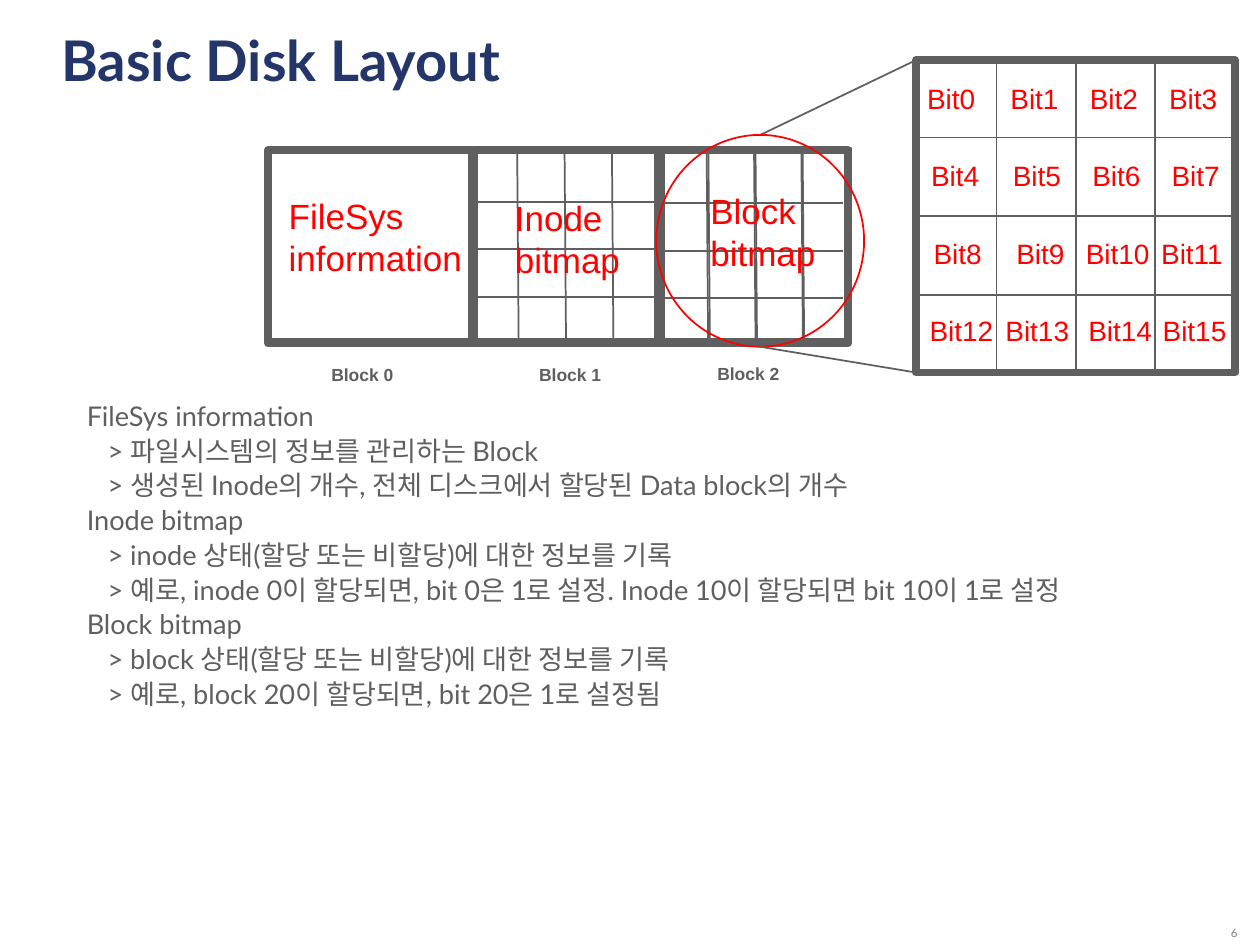
from lxml import etree
from pptx import Presentation
from pptx.dml.color import RGBColor
from pptx.enum.shapes import MSO_CONNECTOR, MSO_SHAPE
from pptx.enum.text import MSO_ANCHOR, PP_ALIGN
from pptx.oxml.ns import qn
from pptx.util import Cm, Pt

STRAIGHT = MSO_CONNECTOR.STRAIGHT
RECTANGLE, OVAL = MSO_SHAPE.RECTANGLE, MSO_SHAPE.OVAL
BOTTOM = MSO_ANCHOR.BOTTOM
CENTER, RIGHT = PP_ALIGN.CENTER, PP_ALIGN.RIGHT

GRAY = RGBColor(0x5F, 0x5F, 0x5F)
PALE_GRAY = RGBColor(0x80, 0x80, 0x80)
NAVY = RGBColor(0x24, 0x35, 0x6A)
RED = RGBColor(0xFF, 0x00, 0x00)

TITLE_FONT = {"name": "Lato", "size": Pt(32), "bold": True, "color": NAVY}
BODY_FONT = {"name": "Lato", "size": Pt(15.5), "color": GRAY}
NUMBER_FONT = {"name": "Lato", "size": Pt(6.6), "color": PALE_GRAY}
CAPTION_FONT = {"name": "Arial", "size": Pt(10), "bold": True, "color": GRAY}
BLOCK_FONT = {"name": "Arial", "size": Pt(20), "color": RED}
BIT_FONT = {"name": "Arial", "size": Pt(16), "color": RED}

# Left, top, width and height in centimetres
DISK = (5.4, 2.98, 11.76, 3.86)
BLOCKS = [(5.4, 3.03, 4.11, 3.89), (9.55, 3.03, 3.78, 3.89), (13.26, 3.03, 3.84, 3.89)]
BIT_MAP = (18.47, 1.21, 6.43, 6.3)
LENS = (13.23, 2.72, 4.19, 4.27)

BLOCK_LABELS = [
    (["Inode", "bitmap"], (10.13, 3.84, 3, 1.96)),
    (["Block", "bitmap"], (14.07, 3.7, 3, 1.96)),
    (["FileSys", "information"], (5.57, 3.8, 4.4, 1.96)),
]
CAPTIONS = [("Block 0", 6.28, 7.21), ("Block 1", 10.47, 7.21), ("Block 2", 14.06, 7.19)]
BIT_LEFTS = [
    [18.44, 20.12, 21.72, 23.32],
    [18.52, 20.17, 21.77, 23.37],
    [18.57, 20.24, 21.64, 23.16],
    [18.49, 20.02, 21.69, 23.19],
]
NOTES = [
    ("FileSys information", [
        "파일시스템의 정보를 관리하는 Block",
        "생성된 Inode의 개수, 전체 디스크에서 할당된 Data block의 개수",
    ]),
    ("Inode bitmap", [
        "inode 상태(할당 또는 비할당)에 대한 정보를 기록",
        "예로, inode 0이 할당되면, bit 0은 1로 설정. Inode 10이 할당되면 bit 10이 1로 설정",
    ]),
    ("Block bitmap", [
        "block 상태(할당 또는 비할당)에 대한 정보를 기록",
        "예로, block 20이 할당되면, bit 20은 1로 설정됨",
    ]),
]


def add_text(slide, lines, area, font, paragraph=None, frame=None):
    box = slide.shapes.add_textbox(*map(Cm, area))
    for name, value in {"word_wrap": True, **(frame or {})}.items():
        setattr(box.text_frame, name, value)
    for index, line in enumerate(lines):
        para = box.text_frame.add_paragraph() if index else box.text_frame.paragraphs[0]
        for name, value in (paragraph or {}).items():
            setattr(para, name, value)
        span = para.add_run()
        span.text = line
        for name, value in font.items():
            if name == "color":
                span.font.color.rgb = value
            else:
                setattr(span.font, name, value)
    return box


def add_outline(slide, kind, area, color, width):
    shape = slide.shapes.add_shape(kind, *map(Cm, area))
    shape.shadow.inherit = False
    shape.fill.background()
    shape.line.color.rgb = color
    shape.line.width = Pt(width)


def add_line(slide, start_x, start_y, end_x, end_y):
    line = slide.shapes.add_connector(STRAIGHT, *map(Cm, (start_x, start_y, end_x, end_y)))
    line.line.color.rgb = GRAY
    line.line.width = Pt(1)
    etree.SubElement(line._element.spPr, qn("a:effectLst"))


def add_columns(slide, first, step, count, bottom, top, slant=0.03):
    for index in range(count):
        x = first + step * index
        add_line(slide, x, bottom, x - slant, top)


def add_rows(slide, first, step, left, right):
    for index in range(3):
        y = first + step * index
        add_line(slide, right, y, left, y)


def add_disk(slide):
    add_outline(slide, RECTANGLE, DISK, GRAY, 1)
    add_columns(slide, 9.5, 0.955, 8, 6.83, 2.97)
    for block in BLOCKS:
        add_outline(slide, RECTANGLE, block, GRAY, 4.5)
    for caption, left, top in CAPTIONS:
        add_text(slide, [caption], (left, top, 2.05, 0.69), CAPTION_FONT, {"alignment": CENTER})
    add_rows(slide, 4.07, 0.955, 9.55, 13.25)
    add_columns(slide, 13.36, 0.95, 4, 6.83, 3)
    add_rows(slide, 4.1, 0.955, 13.35, 17)
    for lines, area in BLOCK_LABELS:
        add_text(slide, lines, area, BLOCK_FONT)


def add_notes_text(slide):
    lines = []
    for heading, details in NOTES:
        lines += [heading, *("> " + detail for detail in details)]
    box = add_text(slide, lines, (1.5, 8.05, 22.61, 8.28), BODY_FONT,
                   {"line_spacing": 0.8, "space_before": Pt(5)})
    paragraphs = box.text_frame.paragraphs
    paragraphs[0].space_before = Pt(0)
    for para in paragraphs:
        if para.text.startswith(">"):
            para._p.get_or_add_pPr().set("marL", str(Cm(0.42)))


def add_bit_map(slide):
    left, top, width, height = BIT_MAP
    add_outline(slide, RECTANGLE, BIT_MAP, GRAY, 4.5)
    add_columns(slide, 20.09, 1.6, 3, top + height, top, 0)
    add_rows(slide, 2.77, 1.59, left, left + width)
    lens_left, lens_top, lens_width, lens_height = LENS
    middle = lens_left + lens_width / 2
    add_line(slide, middle, lens_top, left, top)
    add_outline(slide, OVAL, LENS, RED, 1)
    add_line(slide, middle, lens_top + lens_height, left, top + height)
    for row, lefts in enumerate(BIT_LEFTS):
        for column, label_left in enumerate(lefts):
            bit = 4 * row + column
            label_width = 1.7 if bit < 10 else 2.1
            add_text(slide, [f"Bit{bit}"],
                     (label_left, 1.52 + 1.56 * row, label_width, 0.94), BIT_FONT)


def main():
    deck = Presentation()
    deck.slide_width, deck.slide_height = Cm(25.4), Cm(19.05)
    slide = deck.slides.add_slide(deck.slide_layouts[6])
    add_text(slide, ["6"], (22.66, 18.42, 2.54, 0.64), NUMBER_FONT,
             {"alignment": RIGHT, "line_spacing": 0.8}, {"vertical_anchor": BOTTOM})
    add_text(slide, ["Basic Disk Layout"], (0.99, 0.38, 22.94, 2.13), TITLE_FONT)
    add_disk(slide)
    add_notes_text(slide)
    add_bit_map(slide)
    deck.save("out.pptx")


if __name__ == "__main__":
    main()
